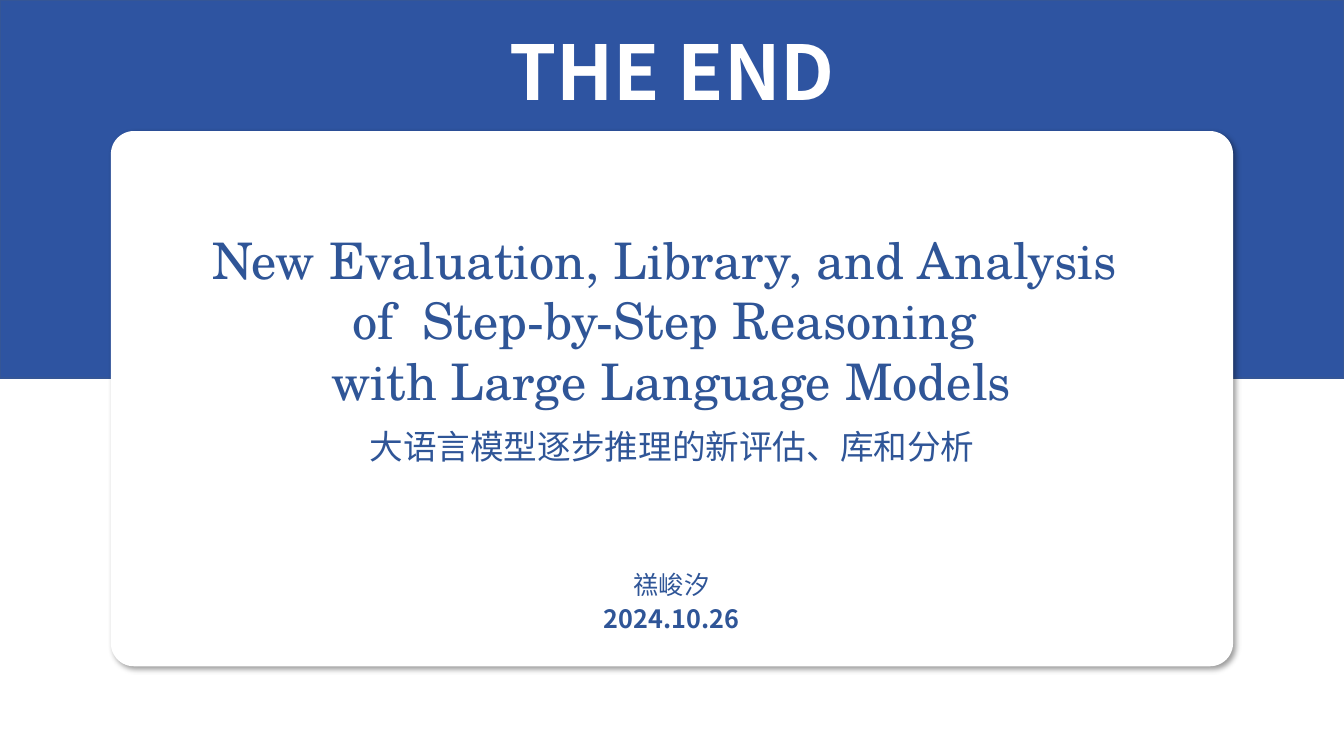
"""Build the closing slide of a talk on step-by-step reasoning."""
from lxml.etree import SubElement
from pptx import Presentation
from pptx.dml.color import RGBColor
from pptx.enum.shapes import MSO_SHAPE
from pptx.enum.text import MSO_AUTO_SIZE, PP_ALIGN
from pptx.oxml.ns import qn
from pptx.util import Inches, Pt

BLUE = RGBColor(0x2E, 0x54, 0xA1)
EDGE = RGBColor(0x35, 0x56, 0x96)
INK = RGBColor(0x2F, 0x55, 0x97)
WHITE = RGBColor(0xFF, 0xFF, 0xFF)
SANS = "Noto Sans CJK SC"
SERIF = "TeX Gyre Schola"


def add_text(para, text, size=18, font=SANS, color=INK, bold=False, space=None):
    para.alignment = PP_ALIGN.CENTER
    if space:
        para.line_spacing = space
    run = para.add_run()
    run.text = text
    style = run.font
    style.size = Pt(size)
    style.bold = bold
    style.color.rgb = color
    style.name = font
    SubElement(run._r.get_or_add_rPr(), qn("a:ea"), typeface=font)


class Deck:
    def __init__(self, width, height):
        self.show = Presentation()
        self.show.slide_width = Inches(width)
        self.show.slide_height = Inches(height)
        self.slide = self.show.slides.add_slide(self.show.slide_layouts[6])

    def panel(self, kind, box, fill, edge=None):
        shape = self.slide.shapes.add_shape(kind, *map(Inches, box))
        shape.shadow.inherit = False
        shape.fill.solid()
        shape.fill.fore_color.rgb = fill
        if edge is None:
            shape.line.fill.background()
        else:
            shape.line.color.rgb = edge
            shape.line.width = Pt(1)
        return shape

    def card(self, box, round_by):
        shape = self.panel(MSO_SHAPE.ROUNDED_RECTANGLE, box, WHITE)
        shape.adjustments[0] = round_by
        effects = shape._element.spPr.find(qn("a:effectLst"))
        shadow = SubElement(effects, qn("a:outerShdw"), blurRad=str(Pt(4)),
                            dist=str(Pt(3)), dir=str(45 * 60000),
                            algn="tl", rotWithShape="0")
        tint = SubElement(shadow, qn("a:srgbClr"), val="000000")
        SubElement(tint, qn("a:alpha"), val="40000")

    def text(self, box, *lines, **style):
        frame = self.slide.shapes.add_textbox(*map(Inches, box)).text_frame
        frame.word_wrap = True
        frame.auto_size = MSO_AUTO_SIZE.SHAPE_TO_FIT_TEXT
        for index, (line, extra) in enumerate(lines):
            para = frame.add_paragraph() if index else frame.paragraphs[0]
            add_text(para, line, **{**style, **extra})


def main():
    deck = Deck(13.33, 7.5)
    deck.panel(MSO_SHAPE.RECTANGLE, (0, 0, 13.33, 3.75), BLUE, EDGE)
    deck.card((1.1, 1.3, 11.13, 5.31), 0.043)
    deck.text((1.62, 5.55, 10.08, 0.8), ("禚峻汐", {}),
              ("2024.10.26", {"bold": True}), space=1.15)
    deck.text((2.72, 0.2, 7.89, 1.01), ("THE END", {}),
              size=54, color=WHITE, bold=True)
    deck.text((1.52, 4.12, 10.29, 0.56),
              ("大语言模型逐步推理的新评估、库和分析", {}), size=24, space=1.15)
    deck.text((1.38, 2.22, 10.56, 1.92),
              ("New Evaluation, Library, and Analysis ", {}),
              ("of  Step-by-Step Reasoning ", {}),
              ("with Large Language Models", {}), size=36, font=SERIF)
    deck.show.save("out.pptx")


if __name__ == "__main__":
    main()
